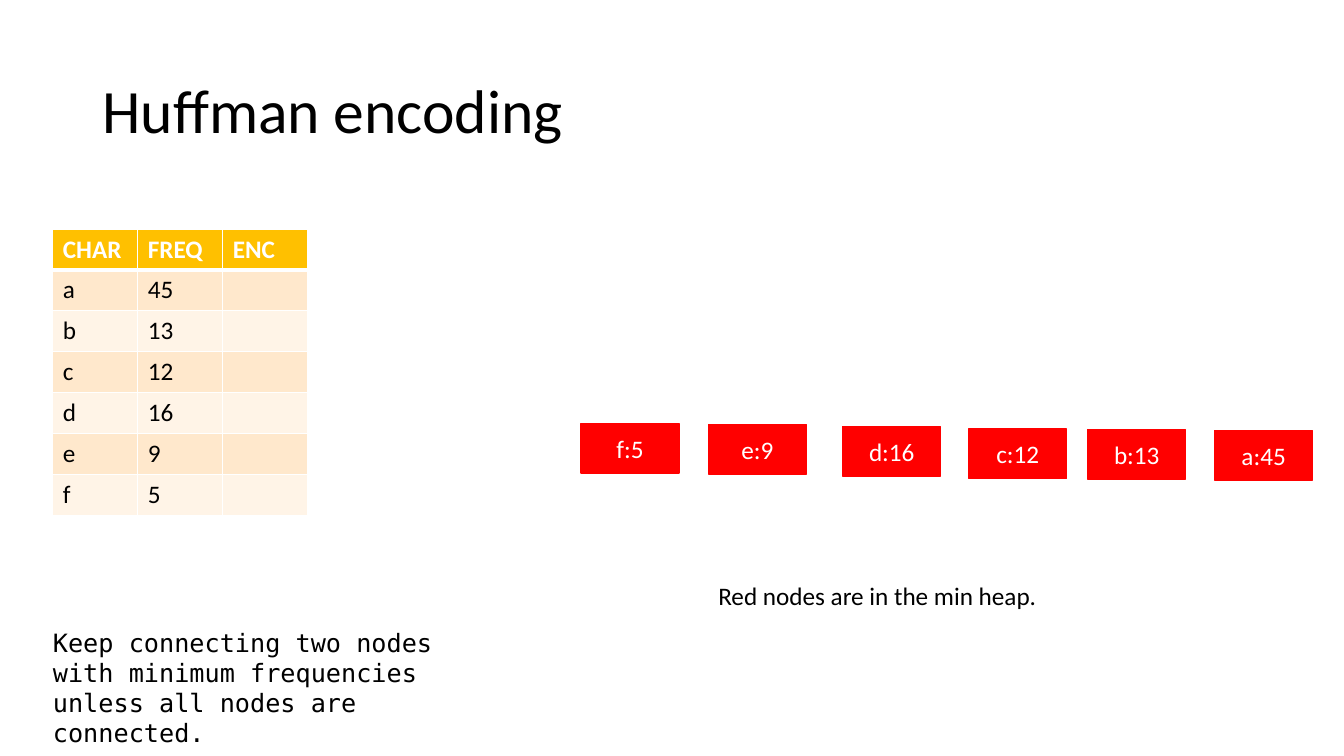
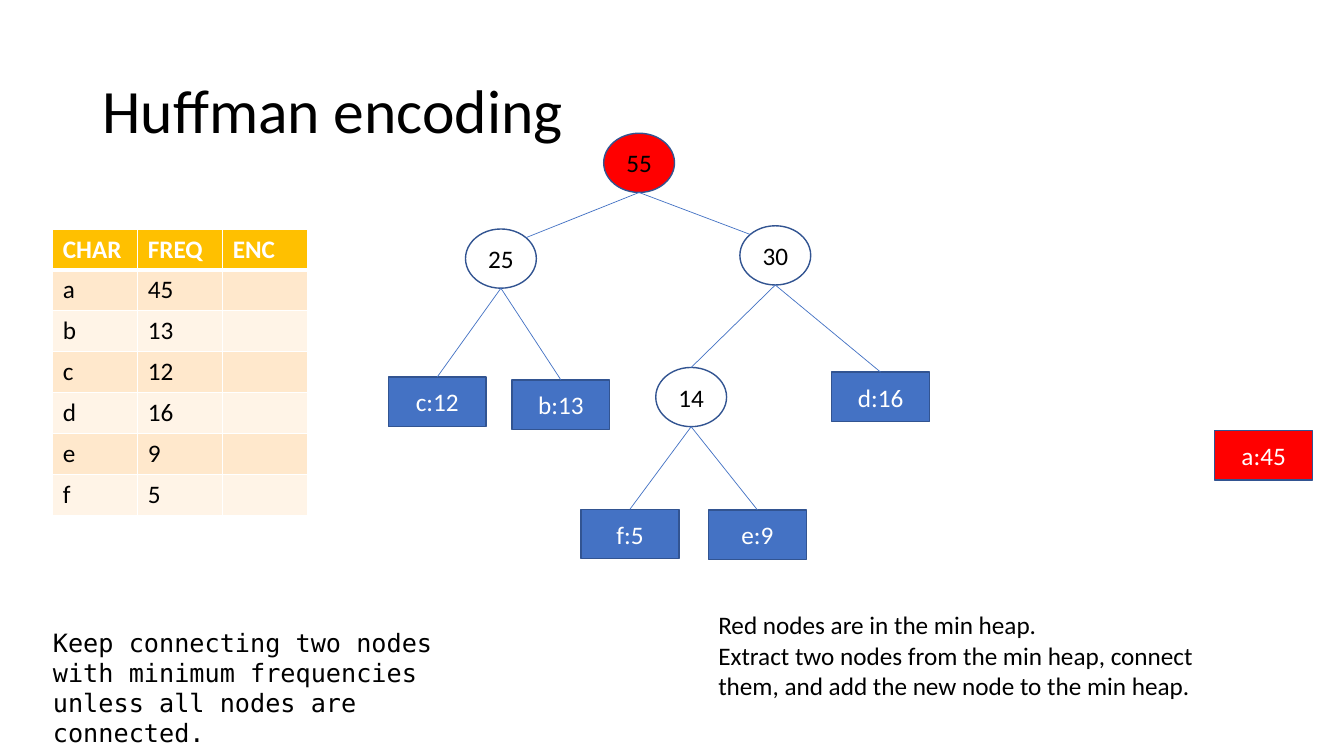
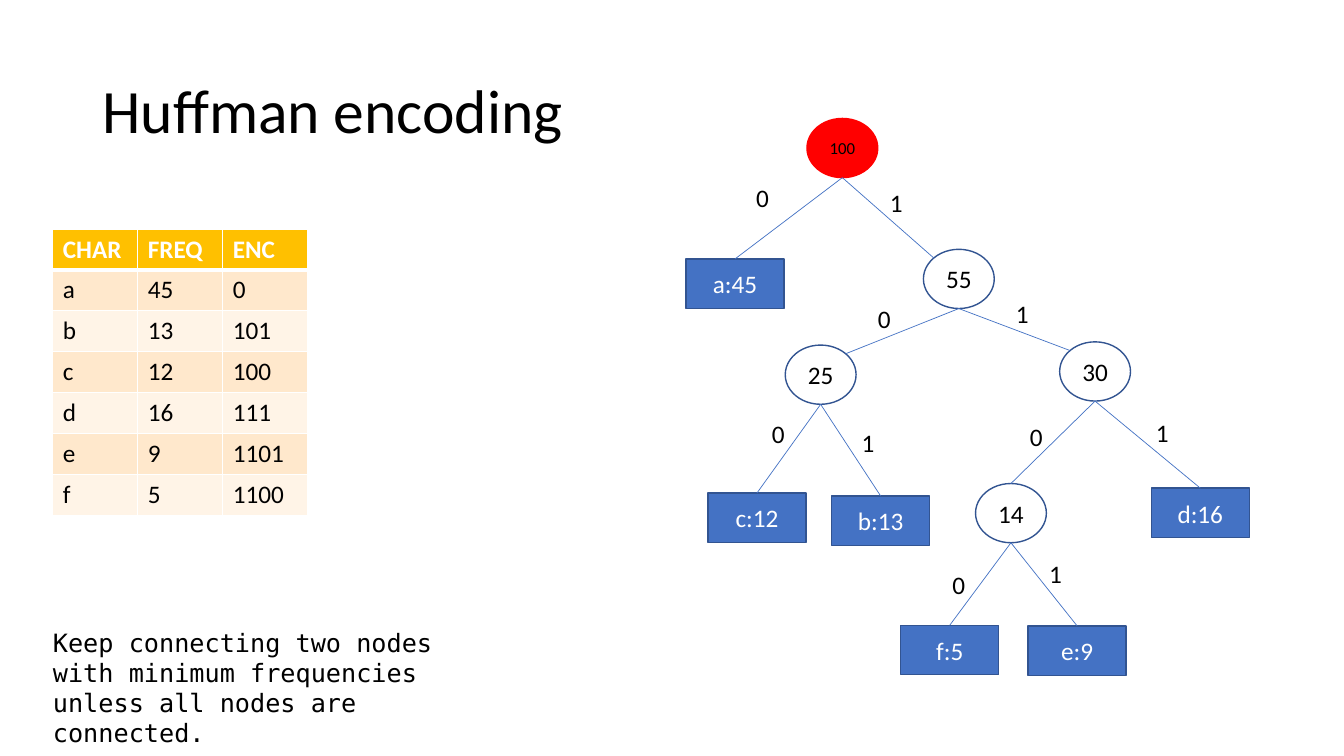
from math import sqrt

from lxml.etree import SubElement
from pptx import Presentation
from pptx.dml.color import RGBColor
from pptx.enum.shapes import MSO_CONNECTOR, MSO_SHAPE
from pptx.enum.text import MSO_ANCHOR, MSO_AUTO_SIZE, PP_ALIGN
from pptx.oxml.ns import qn
from pptx.util import Pt

# Shared look
SANS, MONO = "Calibri", "DejaVu Sans Mono"
BLACK, WHITE, RED, BLUE, NAVY = "000000", "FFFFFF", "FF0000", "4472C4", "325491"
HEAD_FILL, BAND_FILLS = "FFC000", ("FFE8CC", "FFF4E7")
LEAF_SIZE, INNER_SIZE = (70, 35.4), (50.6, 42.3)
COLUMN_WIDTH, ROW_HEIGHT = 60.7, 29.2

# Shared content
TITLE = "Huffman encoding"
RULE = "Keep connecting two nodes with minimum frequencies unless all nodes are connected."
HEAP_NOTE = "Red nodes are in the min heap."
STEP_NOTE = "Extract two nodes from the min heap, connect them, and add the new node to the min heap."
FREQS = {"a": 45, "b": 13, "c": 12, "d": 16, "e": 9, "f": 5}
CODES = {"a": "0", "b": "101", "c": "100", "d": "111", "e": "1101", "f": "1100"}

# Left and top of each node of the tree under 55
SUBTREE = {
    "f": (415, 363.7), "e": (506, 364.2), "d": (594, 265.8),
    "c": (277.3, 269.3), "b": (365.6, 271.3), "14": (468.4, 262.5),
    "25": (332.5, 163.6), "30": (528.5, 161.3), "55": (431.2, 95.2),
}
CHILDREN = {"14": "f e", "25": "c b", "30": "14 d", "55": "25 30", "100": "a 55"}
FULL_TREE_SHIFT = (228.4, 82.9)
# Left and top of the bit beside the edge to each node
BIT_PLACES = {
    "a": (533, 127), "55": (628.6, 130.3), "25": (620, 213), "30": (718.6, 209.5),
    "c": (544.3, 295.2), "b": (608.4, 301.7), "14": (728.6, 297.4),
    "d": (818.6, 294.5), "f": (673.2, 403.2), "e": (742.3, 395.3),
}


def rgb(value):
    return RGBColor.from_string(value)


def format_paragraph(p, size=18, color=BLACK, name=SANS, bold=False):
    for key, value in {"name": name, "size": Pt(size), "bold": bold}.items():
        setattr(p.font, key, value)
    p.font.color.rgb = rgb(color)


def add_text(slide, box, lines, **style):
    sp = slide.shapes.add_textbox(*map(Pt, box))
    tf = sp.text_frame
    tf.word_wrap = True
    tf.auto_size = MSO_AUTO_SIZE.SHAPE_TO_FIT_TEXT
    tf.text = "\n".join(lines)
    for p in tf.paragraphs:
        format_paragraph(p, **style)


def add_node(slide, name, place, fill=None, line=NAVY, size=18):
    """Draw a letter as a rectangle and a sum as an ellipse."""
    leaf = name in FREQS
    kind = MSO_SHAPE.RECTANGLE if leaf else MSO_SHAPE.OVAL
    sp = slide.shapes.add_shape(kind, *map(Pt, place + (LEAF_SIZE if leaf else INNER_SIZE)))
    sp.shadow.inherit = False
    if fill:
        sp.fill.solid()
        sp.fill.fore_color.rgb = rgb(fill)
    else:
        sp.fill.background()
    sp.line.color.rgb = rgb(line)
    sp.line.width = Pt(1)
    tf = sp.text_frame
    tf.vertical_anchor = MSO_ANCHOR.MIDDLE
    tf.text = f"{name}:{FREQS[name]}" if leaf else name
    p = tf.paragraphs[0]
    p.alignment = PP_ALIGN.CENTER
    format_paragraph(p, size, WHITE if leaf else BLACK)
    return sp


def add_edge(slide, parent, child, slant):
    """Join a parent's bottom to a child's top, or to its upper corner at a slant of -1 or 1."""
    x, y = child.left + child.width / 2, child.top
    if slant:
        x -= slant * child.width / 2 / sqrt(2)
        y += child.height / 2 * (1 - 1 / sqrt(2))
    start = parent.left + parent.width // 2, parent.top + parent.height
    line = slide.shapes.add_connector(MSO_CONNECTOR.STRAIGHT, *start, int(x), int(y))
    if child.auto_shape_type == MSO_SHAPE.RECTANGLE:
        line.end_connect(child, 0)
    line.line.color.rgb = rgb(BLUE)
    line.line.width = Pt(0.5)
    SubElement(line._element.spPr, qn("a:effectLst"))


def add_tree(slide, places, fills, **root_style):
    root = list(places)[-1]
    nodes = {}
    for name, place in places.items():
        fill = fills.get(name, BLUE if name in FREQS else None)
        style = root_style if name == root else {}
        nodes[name] = add_node(slide, name, place, fill, **style)
    for parent, pair in CHILDREN.items():
        if parent not in nodes:
            continue
        for side, child in zip((-1, 1), pair.split()):
            slant = side if child in ("25", "30", "55") else 0
            add_edge(slide, nodes[parent], nodes[child], slant)


def set_borders(cell, bottom):
    tc_pr = cell._tc.get_or_add_tcPr()
    for i, (tag, width) in enumerate({"lnL": 1, "lnR": 1, "lnT": 1, "lnB": bottom}.items()):
        ln = SubElement(tc_pr, qn(f"a:{tag}"), w=str(Pt(width)))
        SubElement(SubElement(ln, qn("a:solidFill")), qn("a:srgbClr"), val=WHITE)
        tc_pr.insert(i, ln)


def add_code_table(slide, codes):
    rows = [("CHAR", "FREQ", "ENC")]
    rows += [(char, str(freq), codes.get(char, "")) for char, freq in FREQS.items()]
    size = COLUMN_WIDTH * 3, ROW_HEIGHT * len(rows)
    table = slide.shapes.add_table(len(rows), 3, *map(Pt, (37.7, 163.6) + size)).table
    for i, row in enumerate(rows):
        table.rows[i].height = Pt(ROW_HEIGHT)
        head = i == 0
        for j, text in enumerate(row):
            table.columns[j].width = Pt(COLUMN_WIDTH)
            cell = table.cell(i, j)
            cell.text = text
            cell.fill.solid()
            cell.fill.fore_color.rgb = rgb(HEAD_FILL if head else BAND_FILLS[(i - 1) % 2])
            set_borders(cell, 3 if head else 1)
            format_paragraph(cell.text_frame.paragraphs[0],
                             color=WHITE if head else BLACK, bold=head)


def add_base_slide(prs, codes):
    """Add a slide with the title, the rule and the table."""
    slide = prs.slides.add_slide(prs.slide_layouts[5])
    title = slide.shapes.title
    box = {"left": 66, "top": 28.8, "width": 828, "height": 104.4}
    for key, value in box.items():
        setattr(title, key, Pt(value))
    tf = title.text_frame
    tf.text = TITLE
    tf.vertical_anchor = MSO_ANCHOR.MIDDLE
    p = tf.paragraphs[0]
    p.alignment = PP_ALIGN.LEFT
    p.line_spacing = 0.9
    format_paragraph(p, 44)
    add_text(slide, (30.7, 444.2, 313.2, 72.7), [RULE], name=MONO)
    add_code_table(slide, codes)
    return slide


def add_heap_slide(prs):
    slide = add_base_slide(prs, {})
    heap = {"f": (415, 302.4), "e": (506, 303.2), "d": (602, 304.7),
            "c": (692, 306.5), "b": (777, 306.8), "a": (867.6, 307.6)}
    for name, place in heap.items():
        add_node(slide, name, place, RED, RED)
    add_text(slide, (506, 411, 388, 29), [HEAP_NOTE])


def add_merge_slide(prs):
    slide = add_base_slide(prs, {})
    add_node(slide, "a", (867.6, 307.6), RED)
    add_tree(slide, SUBTREE, {"55": RED})
    add_text(slide, (506, 432, 388, 72.7), [HEAP_NOTE, STEP_NOTE])


def add_code_slide(prs):
    slide = add_base_slide(prs, CODES)
    dx, dy = FULL_TREE_SHIFT
    places = {name: (x + dx, y + dy) for name, (x, y) in SUBTREE.items()}
    places.update({"a": (490, 185), "100": (576.4, 84.6)})
    add_tree(slide, places, {"100": RED}, line=RED, size=12)
    for pair in CHILDREN.values():
        for bit, child in enumerate(pair.split()):
            add_text(slide, BIT_PLACES[child] + (33, 29), [str(bit)])


def main():
    prs = Presentation()
    prs.slide_width, prs.slide_height = Pt(960), Pt(540)
    add_heap_slide(prs)
    add_merge_slide(prs)
    add_code_slide(prs)
    prs.save("out.pptx")


if __name__ == "__main__":
    main()
